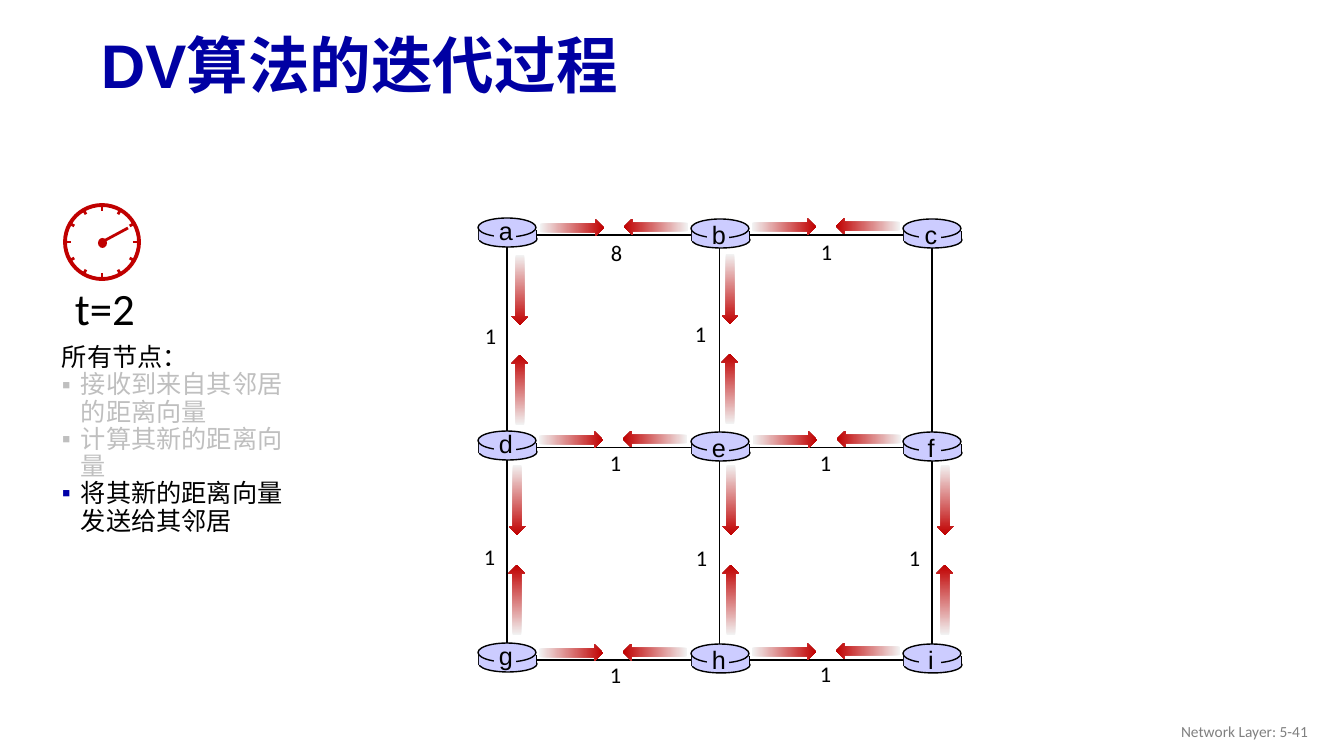
import math
from dataclasses import dataclass

from lxml import etree
from pptx import Presentation
from pptx import util as u
from pptx.dml.color import RGBColor
from pptx.enum import shapes, text
from pptx.oxml.ns import qn

# Content
TITLE = "DV算法的迭代过程"
FOOTER = "Network Layer: 5-41"
TIME = "t=2"
STEPS_HEAD = "所有节点："
STEPS = [("接收到来自其邻居的距离向量", False),
         ("计算其新的距离向量", False),
         ("将其新的距离向量发送给其邻居", True)]
NODE_ROWS = ["abc", "def", "ghi"]
# from, to, cost, cost offset from first node, arrow nudge; no cost box on c-f
LINKS = [("a", "b", "8", (94, -1), (1, 1)),
         ("b", "c", "1", (91, -2), (0, 0)),
         ("d", "e", "1", (93, -4), (0, 0)),
         ("e", "f", "1", (90, -4), (1, 0)),
         ("g", "h", "1", (93, -4), (0, 1)),
         ("h", "i", "1", (90, -5), (0, 0)),
         ("a", "d", "1", (-32, 82), (3, 3)),
         ("b", "e", "1", (-35, 80), (0, 2)),
         ("d", "g", "1", (-33, 90), (0, 0)),
         ("e", "h", "1", (-34, 91), (1, 0)),
         ("f", "i", "1", (-33, 91), (3, 0))]


@dataclass
class Theme:
    title: str = "0000A3"
    bullet: str = "0000A8"
    ink: str = "000000"
    faded: str = "BFBFBF"
    footer: str = "808080"
    node: str = "CCCCFF"
    red: str = "C00000"
    pale: str = "F2F2F2"
    head_font: str = "Arial"
    body_font: str = "Calibri"
    title_size: int = 44
    time_size: int = 32
    body_size: int = 18
    cost_size: int = 16
    footer_size: int = 11


theme = Theme()
PX = 914400 / 100.8
COLUMNS = (507, 720, 932)
ROWS = (235, 448, 660)
SHAPE = shapes.MSO_SHAPE
ALIGN = text.PP_ALIGN


def px(value):
    return u.Emu(round(value * PX))


def rgb(color):
    return RGBColor.from_string(color)


def add_shape(parent, kind, x, y, w, h, fill=None, line=None, weight=1):
    shape = parent.shapes.add_shape(kind, px(x), px(y), px(w), px(h))
    shape.shadow.inherit = False
    if fill:
        shape.fill.solid()
        shape.fill.fore_color.rgb = rgb(fill)
    else:
        shape.fill.background()
    if line:
        shape.line.color.rgb = rgb(line)
        shape.line.width = u.Pt(weight)
    else:
        shape.line.fill.background()
    return shape


def add_line(parent, x1, y1, x2, y2, color, weight=1):
    line = parent.shapes.add_connector(
        shapes.MSO_CONNECTOR.STRAIGHT, px(x1), px(y1), px(x2), px(y2))
    line.line.color.rgb = rgb(color)
    line.line.width = u.Pt(weight)
    etree.SubElement(line._element.spPr, qn("a:effectLst"))
    return line


def add_span(para, words, size, color, font, bold=False):
    span = para.add_run()
    span.text = words
    span.font.size = u.Pt(size)
    span.font.name = font
    span.font.bold = bold
    span.font.color.rgb = rgb(color)


def add_box(parent, x, y, w, h, wrap=True, middle=False):
    box = parent.shapes.add_textbox(px(x), px(y), px(w), px(h))
    box.text_frame.word_wrap = wrap
    if middle:
        box.text_frame.vertical_anchor = text.MSO_ANCHOR.MIDDLE
    return box.text_frame


def add_bullet(para, color):
    props = para._p.get_or_add_pPr()
    props.set("marL", str(px(19)))
    props.set("indent", str(-px(19)))
    tint = etree.SubElement(props, qn("a:buClr"))
    etree.SubElement(tint, qn("a:srgbClr"), val=color)
    etree.SubElement(props, qn("a:buFont"), typeface=theme.head_font)
    etree.SubElement(props, qn("a:buChar"), char="▪")


def add_arrow(page, center_x, center_y, length, turn):
    arrow = add_shape(page, SHAPE.RIGHT_ARROW, center_x - length / 2,
                      center_y - 8.5, length, 17)
    arrow.rotation = turn
    arrow.fill.gradient()
    arrow.fill.gradient_angle = 0
    for stop, color in zip(arrow.fill.gradient_stops, (theme.pale, theme.red)):
        stop.color.rgb = rgb(color)


def add_node(group, name, x, y, lift):
    """Draw one router; lift raises the body and the letter."""
    top = y - lift[0]
    add_shape(group, SHAPE.OVAL, x - 28, top - 3, 58, 16, theme.node, theme.ink)
    for side in (-28, 29):
        add_line(group, x + side, top - 4, x + side, top + 6, theme.ink)
    add_shape(group, SHAPE.RECTANGLE, x - 28, top - 4, 57, 10, theme.node)
    add_shape(group, SHAPE.OVAL, x - 29, top - 16, 58, 19, theme.node, theme.ink)
    add_shape(group, SHAPE.RECTANGLE, x - 13, top - 11, 22, 20, theme.node)
    para = add_box(group, x - 18, y - 21 - lift[1], 34, 40, wrap=False).paragraphs[0]
    para.alignment = ALIGN.CENTER
    add_span(para, name, theme.body_size, theme.ink, theme.head_font)


def add_clock(page):
    x, y = 102, 242
    group = page.shapes.add_group_shape()
    para = add_box(group, 65, 276, 81, 64, wrap=False).paragraphs[0]
    add_span(para, TIME, theme.time_size, theme.ink, theme.body_font)
    add_shape(group, SHAPE.OVAL, x - 37, y - 37, 74, 74, None, theme.red, 2.75)
    for hour in range(12):
        dx, dy = math.cos(math.radians(30 * hour)), math.sin(math.radians(30 * hour))
        inner = 32 if hour % 3 else 31
        add_line(group, x + inner * dx, y + inner * dy,
                 x + 38 * dx, y + 38 * dy, theme.red, 2)
    add_shape(group, SHAPE.OVAL, x - 4, y - 4, 9, 10, theme.red)
    add_line(page, x + 26, y - 14, x, y, theme.red, 2)


def add_network(page):
    # Links as a frame with a cross
    left, top = COLUMNS[0], ROWS[0]
    right, bottom = COLUMNS[-1], ROWS[-1]
    frame = add_shape(page, SHAPE.RECTANGLE, left, top, right - left,
                      bottom - top, None, theme.ink)
    for start, end, ends in ((2, 0, (COLUMNS[1], bottom, COLUMNS[1], top)),
                             (1, 3, (left, ROWS[1], right, ROWS[1]))):
        line = add_line(page, *ends, theme.ink)
        line.begin_connect(frame, start)
        line.end_connect(frame, end)

    # Routers, one group per row
    places = {}
    for names, y in zip(NODE_ROWS, ROWS):
        group = page.shapes.add_group_shape()
        for name, x in zip(names, COLUMNS):
            places[name] = (x, y)
            add_node(group, name, x, y, (1, 4) if x == left else (0, 0))

    # Costs and the pair of messages on each link
    for start, end, cost, offset, nudge in LINKS:
        x, y = places[start]
        para = add_box(page, x + offset[0], y + offset[1], 33, 37).paragraphs[0]
        add_span(para, cost, theme.cost_size, theme.ink, theme.body_font)
        x, y = x + nudge[0], y + nudge[1]
        if places[start][1] == places[end][1]:
            add_arrow(page, x + 64, y - 8, 64, 0)
            add_arrow(page, x + 148, y - 9, 64, 180)
        else:
            add_arrow(page, x + 10, y + 52, 70, 90)
            add_arrow(page, x + 10, y + 152, 70, 270)


def main():
    deck = Presentation()
    deck.slide_width, deck.slide_height = px(1344), px(756)
    page = deck.slides.add_slide(deck.slide_layouts[6])

    # Title and footer
    para = add_box(page, 91, 19, 1159, 99, middle=True).paragraphs[0]
    para.line_spacing = 0.9
    add_span(para, TITLE, theme.title_size, theme.title, theme.head_font, True)
    para = add_box(page, 1016, 711, 302, 40, middle=True).paragraphs[0]
    para.alignment = ALIGN.RIGHT
    add_span(para, FOOTER, theme.footer_size, theme.footer, theme.body_font)

    add_network(page)

    # Steps
    frame = add_box(page, 52, 340, 242, 203)
    para = frame.paragraphs[0]
    para.line_spacing = 0.9
    add_span(para, STEPS_HEAD, theme.body_size, theme.ink, theme.body_font)
    for words, active in STEPS:
        para = frame.add_paragraph()
        add_bullet(para, theme.bullet if active else theme.faded)
        para.line_spacing = 0.9
        add_span(para, words, theme.body_size,
                 theme.ink if active else theme.faded, theme.body_font)

    add_clock(page)
    deck.save("out.pptx")


if __name__ == "__main__":
    main()
